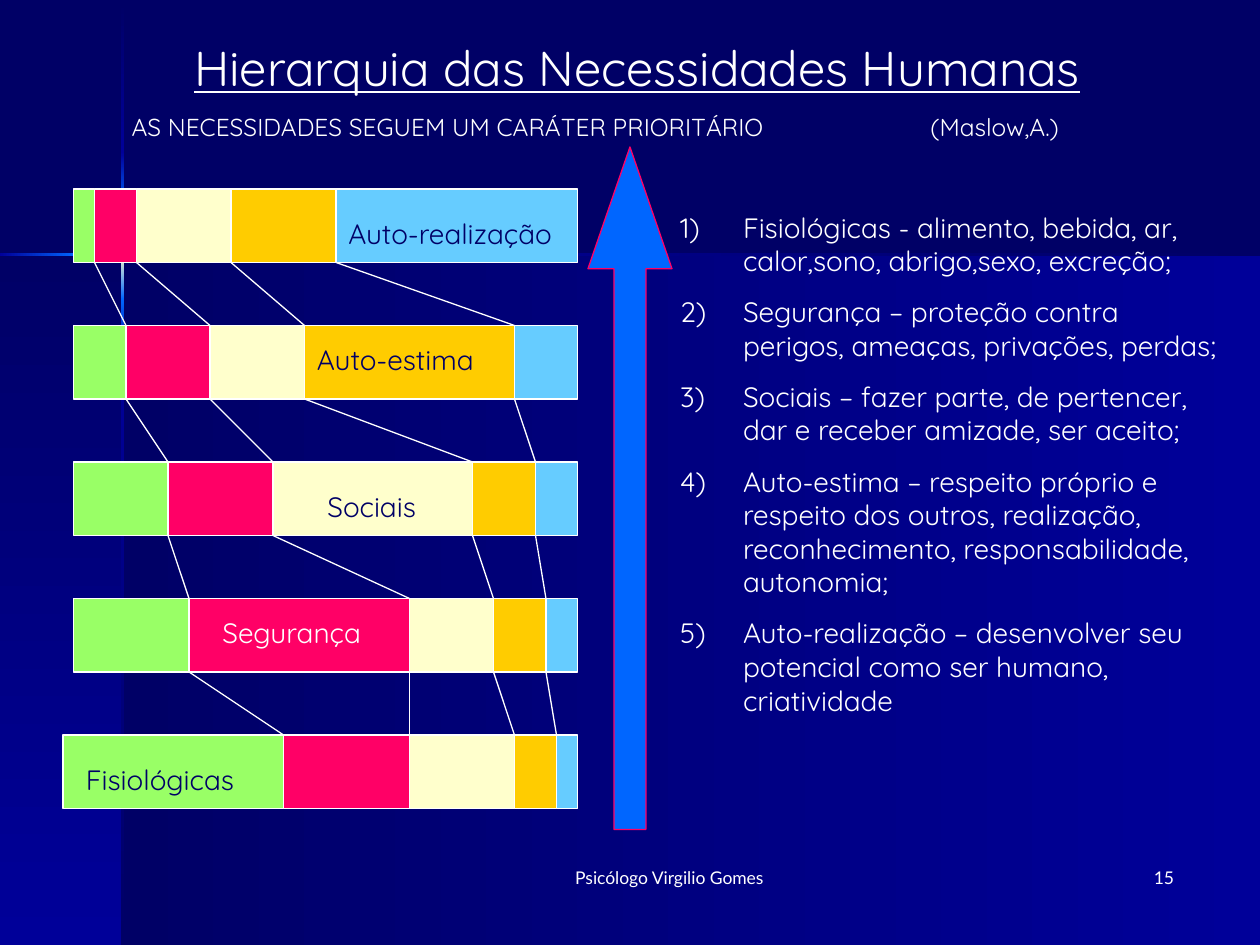
from pptx import Presentation
from pptx.util import Pt
from pptx.dml.color import RGBColor
from pptx.enum import shapes, text
from pptx.oxml.ns import qn
from lxml import etree

HUE = {
    "navy": "000066", "deep": "000099", "blue": "0066FF", "white": "FFFFFF",
    "green": "99FF66", "red": "FF0066", "cream": "FFFFCC",
    "gold": "FFCC00", "sky": "66CCFF",
}
NEEDS = ["green", "red", "cream", "gold", "sky"]
# Each level: edges of its five parts, label, label place, label colour
LEVELS = [
    ([42, 54, 78, 132, 192, 330], "Auto-realização", (192, 120, 144), "navy"),
    ([42, 72, 120, 174, 294, 330], "Auto-estima", (174, 192, 126), "navy"),
    ([42, 96, 156, 270, 306, 330], "Sociais", (180, 276, 84), "navy"),
    ([42, 108, 234, 282, 312, 330], "Segurança", (120, 348, 108), "white"),
    ([36, 162, 234, 294, 318, 330], "Fisiológicas", (42, 432, 120), "navy"),
]
TOP, STEP, HIGH = 108, 78, 42
TITLE = "Hierarquia das Necessidades Humanas"
SUB = "AS NECESSIDADES SEGUEM UM CARÁTER PRIORITÁRIO\t(Maslow,A.)"
ITEMS = [
    "Fisiológicas - alimento, bebida, ar, calor,sono, abrigo,sexo, excreção;",
    "Segurança – proteção contra perigos, ameaças, privações, perdas;",
    "Sociais – fazer parte, de pertencer, dar e receber amizade, ser aceito;",
    "Auto-estima – respeito próprio e respeito dos outros, realização, "
    "reconhecimento, responsabilidade, autonomia;",
    "Auto-realização – desenvolver seu potencial como ser humano, criatividade",
]
# Glowing rules: colour reached at each position along the rule
DOWN = [(1, "navy"), (87, "deep"), (119, "blue"), (145, "cream"),
        (171, "blue"), (203, "deep"), (540, "navy")]
ACROSS = [[(0, "deep"), (44, "blue"), (70, "cream"), (96, "blue")],
          [(127.5, "deep"), (720, "navy")]]

prs = Presentation()
prs.slide_width, prs.slide_height = Pt(720), Pt(540)
slide = prs.slides.add_slide(prs.slide_layouts[5])
items = slide.shapes


def rgb(name):
    return RGBColor.from_string(HUE[name])


def style(par, size, hue="white", face="Quicksand"):
    par.font.size, par.font.name = Pt(size), face
    par.font.color.rgb = rgb(hue)


def shape(kind, box, fill=None, line=None):
    item = items.add_shape(kind, *map(Pt, box))
    item.shadow.inherit = False
    if fill:
        item.fill.solid()
        item.fill.fore_color.rgb = rgb(fill)
    if line:
        item.line.color.rgb, item.line.width = rgb(line), Pt(0.75)
    else:
        item.line.fill.background()
    return item


def fade(box, start, end, angle):
    """Add a borderless rectangle shading from start to end."""
    fill = shape(shapes.MSO_SHAPE.RECTANGLE, box).fill
    fill.gradient()
    fill.gradient_angle = angle
    for stop, hue in zip(fill.gradient_stops, (start, end)):
        stop.color.rgb = rgb(hue)


def link(x1, y1, x2, y2):
    line = items.add_connector(shapes.MSO_CONNECTOR.STRAIGHT,
                               *map(Pt, (x1, y1, x2, y2)))
    line.line.color.rgb, line.line.width = rgb("white"), Pt(0.75)
    etree.SubElement(line._element.spPr, qn("a:effectLst"))


def write(words, box, size, hue="white", face="Quicksand", align="LEFT"):
    frame = items.add_textbox(*map(Pt, box)).text_frame
    frame.word_wrap = True
    par = frame.paragraphs[0]
    par.text, par.alignment = words, text.PP_ALIGN[align]
    style(par, size, hue, face)


# Backdrop
slide.background.fill.solid()
slide.background.fill.fore_color.rgb = rgb("navy")
fade((70, 145.5, 650, 394.5), "navy", "deep", 0)
fade((0, 145.5, 70, 394.5), "navy", "deep", 270)
for (a, start), (b, end) in zip(DOWN, DOWN[1:]):
    fade((69.25, a, 1.5, b - a), start, end, 270)
for chain in ACROSS:
    for (a, start), (b, end) in zip(chain, chain[1:]):
        fade((a, 144.75, b - a, 1.5), start, end, 0)

# Title
title = items.title
title.left, title.top, title.width, title.height = map(Pt, (68, 18, 592, 66))
frame = title.text_frame
frame.auto_size = text.MSO_AUTO_SIZE.NONE
frame.vertical_anchor = text.MSO_ANCHOR.TOP
head, sub = frame.paragraphs[0], frame.add_paragraph()
head.text, head.alignment = TITLE, text.PP_ALIGN.CENTER
style(head, 28)
head.font.underline = True
sub.text, sub.alignment, sub.space_before = SUB, text.PP_ALIGN.LEFT, Pt(8.75)
tabs = etree.SubElement(sub._p.get_or_add_pPr(), qn("a:tabLst"))
etree.SubElement(tabs, qn("a:tab"), pos=str(Pt(456.5)), algn="l")
style(sub, 14)

# Bars, links between levels, labels
for row, (edges, *_) in enumerate(LEVELS):
    y = TOP + row * STEP
    for hue, a, b in zip(NEEDS, edges, edges[1:]):
        shape(shapes.MSO_SHAPE.RECTANGLE, (a, y, b - a, HIGH), hue, "white")
    if row:
        for a, b in zip(LEVELS[row - 1][0][1:-1], edges[1:-1]):
            link(a, y - STEP + HIGH, b, y)
for _, name, (x, y, wide), hue in LEVELS:
    write(name, (x, y, wide, 26.5), 16, hue)

arrow = shape(shapes.MSO_SHAPE.UP_ARROW, (336, 84, 48, 390), "blue", "red")
arrow.adjustments[0], arrow.adjustments[1] = 0.38, 1.45

# Numbered list
frame = items.add_textbox(*map(Pt, (381.5, 116.5, 325, 316))).text_frame
frame.word_wrap = True
for i, words in enumerate(ITEMS):
    par = frame.add_paragraph() if i else frame.paragraphs[0]
    par.text = words
    if i:
        par.space_before = Pt(10)
    prop = par._p.get_or_add_pPr()
    prop.set("marL", str(Pt(36)))
    prop.set("indent", str(Pt(-36)))
    etree.SubElement(prop, qn("a:buFont"), typeface="Quicksand")
    etree.SubElement(prop, qn("a:buAutoNum"), type="arabicParenR")
    style(par, 16)

# Footer
write("Psicólogo Virgilio Gomes", (268.5, 492, 228, 36), 10, face="Lato",
      align="CENTER")
write("15", (528, 492, 150, 36), 10, face="Lato", align="RIGHT")

prs.save("out.pptx")
